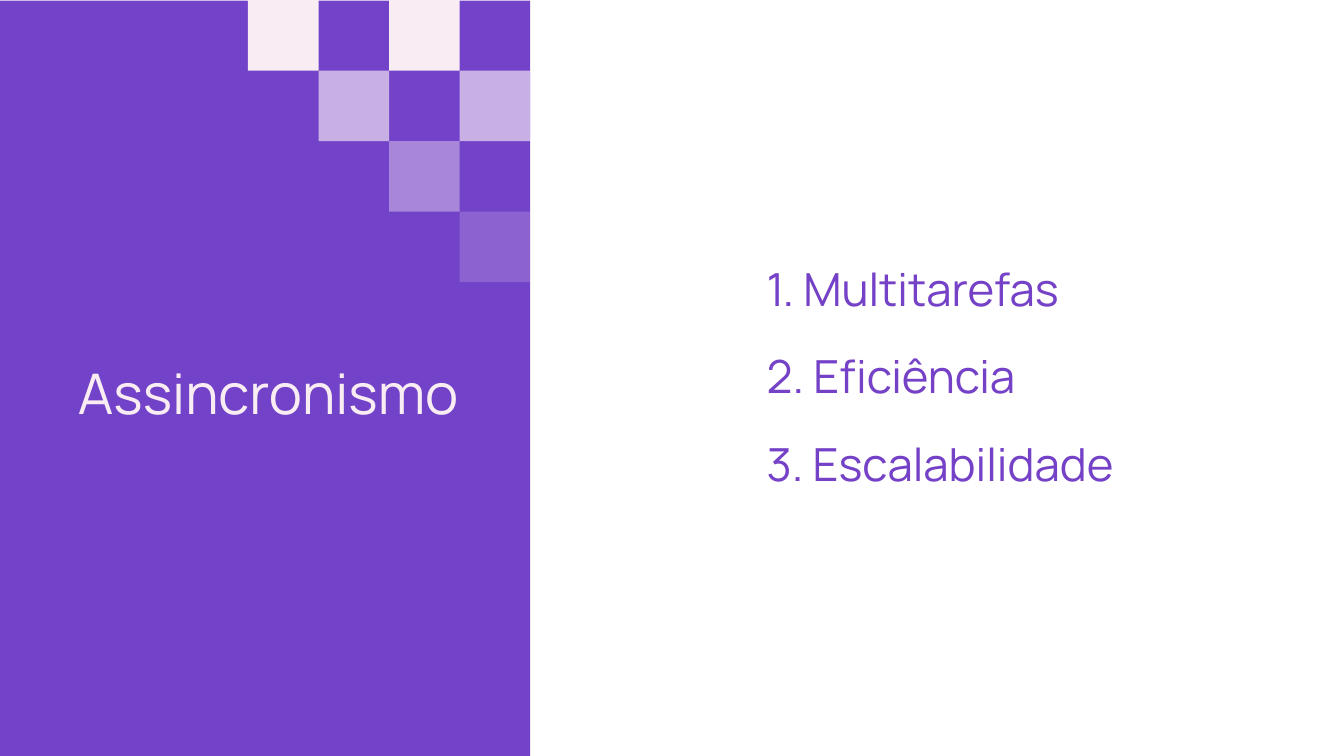
from lxml import etree
from pptx import Presentation
from pptx import util as u
from pptx.dml.color import RGBColor
from pptx.enum import shapes, text
from pptx.oxml.ns import qn

PX = 9144
PAGE_WIDTH, PAGE_HEIGHT = 2000, 1125
PANEL_WIDTH = 789
TILE = 105
FONT = "Manrope"
PURPLE = RGBColor(0x72, 0x42, 0xC9)
INK = RGBColor(0x74, 0x41, 0xC7)
BLUSH = RGBColor(0xF9, 0xEC, 0xF3)
TILE_ROWS = [((0, 2), 100), ((1, 3), 65), ((2,), 40), ((3,), 19)]
TOPICS = ["Multitarefas", "Eficiência", "Escalabilidade"]


def add_block(page, left, top, width, height, color, opacity=100):
    """Draw a borderless rectangle with the given opacity in percent."""
    block = page.shapes.add_shape(
        shapes.MSO_SHAPE.RECTANGLE, left * PX, top * PX, width * PX, height * PX
    )
    block.shadow.inherit = False
    block.line.fill.background()
    block.fill.solid()
    block.fill.fore_color.rgb = color
    if opacity < 100:
        tint = block.fill._xPr.find(".//" + qn("a:srgbClr"))
        etree.SubElement(tint, qn("a:alpha"), val=str(opacity * 1000))


def add_label(page, left, top, width, height, words, size, leading, color):
    """Place one line of text in a box without margins."""
    box = page.shapes.add_textbox(left * PX, top * PX, width * PX, height * PX)
    frame = box.text_frame
    frame.word_wrap = True
    frame.auto_size = text.MSO_AUTO_SIZE.SHAPE_TO_FIT_TEXT
    frame.margin_left = frame.margin_top = frame.margin_right = frame.margin_bottom = 0
    para = frame.paragraphs[0]
    para.line_spacing = u.Pt(leading)
    span = para.add_run()
    span.text = words
    span.font.name = FONT
    span.font.size = u.Pt(size)
    span.font.color.rgb = color


def add_tiles(page, right, top):
    """Draw the fading checker stairs against a right edge."""
    left = right - len(TILE_ROWS) * TILE
    for row, (columns, opacity) in enumerate(TILE_ROWS):
        for column in columns:
            add_block(page, left + column * TILE, top + row * TILE,
                      TILE, TILE, BLUSH, opacity)


def add_title_panel(page, left, top, width, height):
    """Build the purple panel with its tiles and the title."""
    add_block(page, left, top + 1, width, height, PURPLE)
    add_tiles(page, left + width, top)
    add_label(page, left + 116, top + 534, 612, 107, "Assincronismo", 60, 72, BLUSH)


def add_topics(page, left, top, width):
    """List the numbered topics at equal steps."""
    for index, topic in enumerate(TOPICS):
        add_label(page, left, top + index * 130, width, 85,
                  f"{index + 1}. {topic}", 48.8, 58.6, INK)


def main():
    """Build and save the deck."""
    deck = Presentation()
    deck.slide_width = PAGE_WIDTH * PX
    deck.slide_height = PAGE_HEIGHT * PX
    page = deck.slides.add_slide(deck.slide_layouts[6])
    add_title_panel(page, 0, 0, PANEL_WIDTH, PAGE_HEIGHT)
    add_topics(page, 1141, 388, 586)
    deck.save("out.pptx")


if __name__ == "__main__":
    main()
